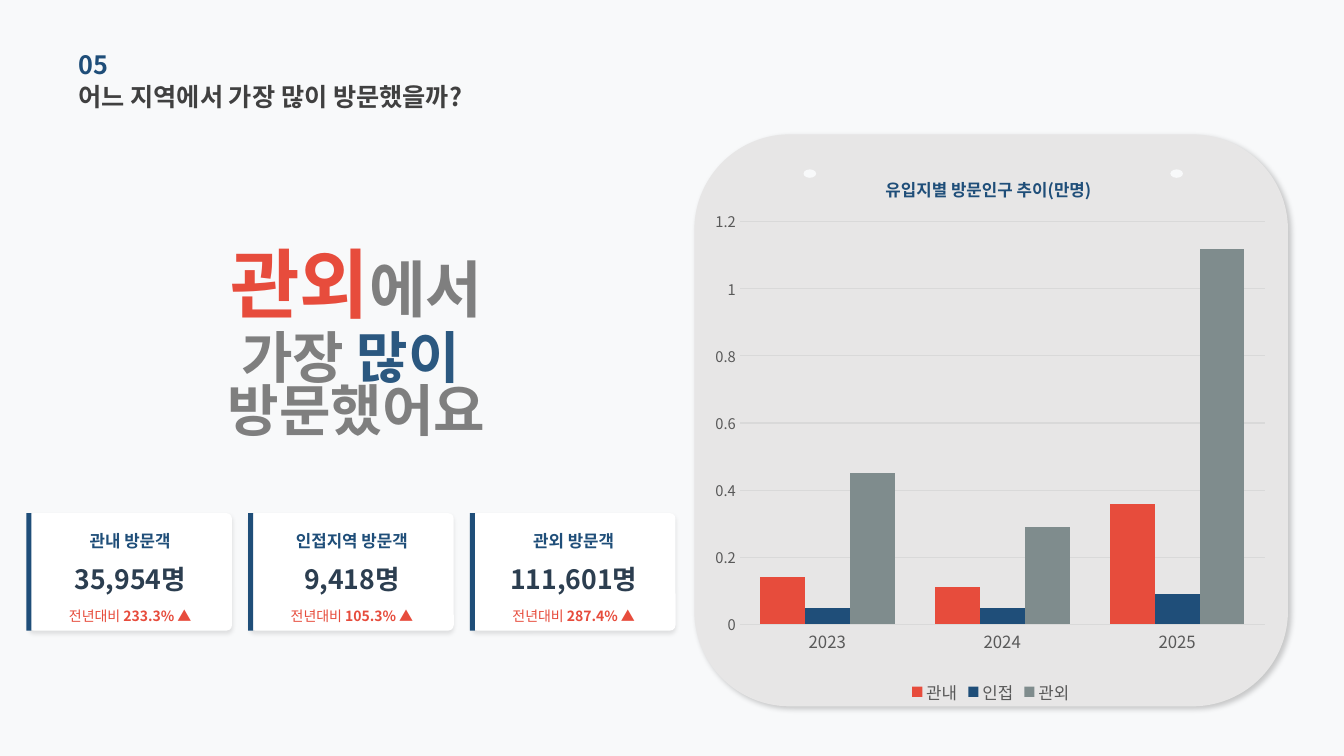
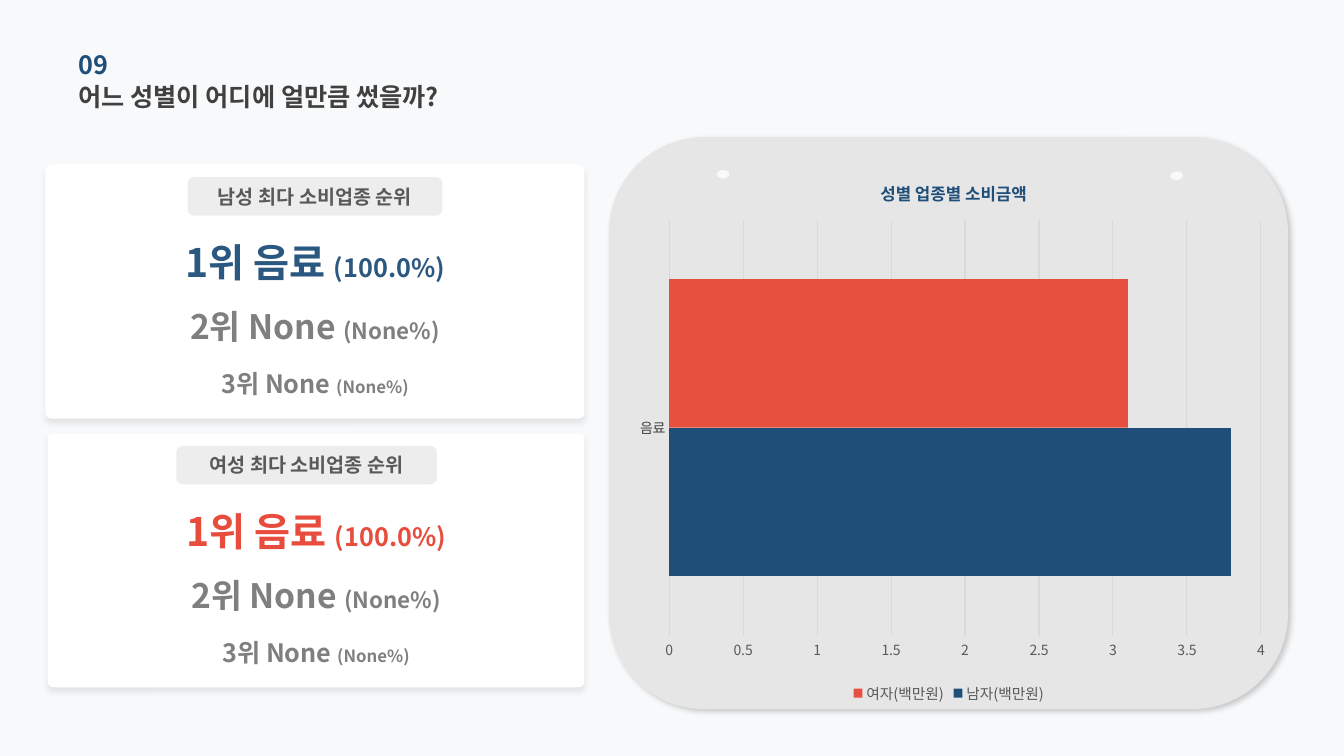
import pptx
import pptx.chart.data
import pptx.dml.color
import pptx.enum.chart
import pptx.enum.shapes
import pptx.enum.text
import pptx.oxml
import pptx.oxml.ns
import pptx.util

Pt = pptx.util.Pt
qn = pptx.oxml.ns.qn
SHAPE = pptx.enum.shapes.MSO_SHAPE
ALIGN = pptx.enum.text.PP_ALIGN
CHART = pptx.enum.chart.XL_CHART_TYPE

FONT = "Noto Sans CJK KR"
COLORS = {
    "background": "F8F9FA", "panel": "E7E6E6", "white": "FFFFFF", "pill": "D0CECE",
    "navy": "1F4E79", "blue": "2B5880", "red": "E74C3C", "slate": "7F8C8D",
    "ink": "2C3E50", "heading": "404040", "label": "595959", "gray": "7F7F7F",
    "grid": "D9D9D9",
}


def rgb(name):
    return pptx.dml.color.RGBColor.from_string(COLORS[name])


def paint(fill, color, alpha=None):
    fill.solid()
    fill.fore_color.rgb = rgb(color)
    if alpha is not None:
        element = fill._xPr.find(".//" + qn("a:srgbClr"))
        element.append(pptx.oxml.parse_xml(
            f'<a:alpha {pptx.oxml.ns.nsdecls("a")} val="{alpha * 1000}"/>'))


def style_font(font, size, color, bold=False):
    font.size, font.bold, font.name = Pt(size), bold, FONT
    font.color.rgb = rgb(color)
    font._rPr.append(pptx.oxml.parse_xml(
        f'<a:ea {pptx.oxml.ns.nsdecls("a")} typeface="{FONT}"/>'))


def place(parent, index, inner=False, **fractions):
    """Give a chart part a fixed position, as fractions of the chart."""
    old = parent.find(qn("c:layout"))
    if old is not None:
        parent.remove(old)
    target = '<c:layoutTarget val="inner"/>' if inner else ""
    modes = '<c:xMode val="edge"/><c:yMode val="edge"/>'
    values = "".join(f'<c:{key} val="{value}"/>' for key, value in fractions.items())
    parent.insert(index, pptx.oxml.parse_xml(
        f'<c:layout {pptx.oxml.ns.nsdecls("c")}><c:manualLayout>'
        f'{target}{modes}{values}</c:manualLayout></c:layout>'))


class Deck:
    def __init__(self):
        self.presentation = pptx.Presentation()
        self.presentation.slide_width = Pt(960)
        self.presentation.slide_height = Pt(540)
        paint(self.presentation.slide_master.background.fill, "background")
        self.slide = self.shapes = None

    def new_slide(self, number, title):
        self.slide = self.presentation.slides.add_slide(self.presentation.slide_layouts[5])
        self.shapes = self.slide.shapes
        heading = self.shapes.title
        heading.left, heading.top, heading.width, heading.height = map(Pt, (56, 54, 380, 29.5))
        self.fill_text(heading.text_frame, [[(title, 18, "heading", True)]], ALIGN.LEFT)
        self.text(56, 31.5, 325, 29.5, [[(number, 18, "navy", True)]], ALIGN.LEFT)

    def fill_text(self, frame, lines, align=ALIGN.CENTER, spacing=None):
        """Each line is a list of (text, size, color, bold) runs."""
        frame.word_wrap = True
        frame.auto_size = pptx.enum.text.MSO_AUTO_SIZE.NONE
        frame.vertical_anchor = pptx.enum.text.MSO_ANCHOR.MIDDLE
        frame.margin_left = frame.margin_top = frame.margin_right = frame.margin_bottom = 0
        for index, line in enumerate(lines):
            paragraph = frame.add_paragraph() if index else frame.paragraphs[0]
            paragraph.alignment = align
            if spacing:
                paragraph.line_spacing = spacing
            for text, size, color, bold in line:
                run = paragraph.add_run()
                run.text = text
                style_font(run.font, size, color, bold)

    def text(self, left, top, width, height, lines, align=ALIGN.CENTER, spacing=None):
        box = self.shapes.add_textbox(Pt(left), Pt(top), Pt(width), Pt(height))
        self.fill_text(box.text_frame, lines, align, spacing)

    def shape(self, kind, left, top, width, height, color, alpha=None, corner=None, shadow=None):
        """shadow is (opacity percent, blur, distance, angle)."""
        shape = self.shapes.add_shape(kind, Pt(left), Pt(top), Pt(width), Pt(height))
        paint(shape.fill, color, alpha)
        shape.line.fill.background()
        shape.shadow.inherit = False
        if corner is not None:
            shape.adjustments[0] = corner
        if shadow:
            opacity, blur, distance, angle = shadow
            shape._element.spPr.find(qn("a:effectLst")).append(pptx.oxml.parse_xml(
                f'<a:outerShdw {pptx.oxml.ns.nsdecls("a")} blurRad="{Pt(blur)}" '
                f'dist="{Pt(distance)}" dir="{angle * 60000}" algn="tl" rotWithShape="0">'
                f'<a:srgbClr val="000000"><a:alpha val="{opacity * 1000}"/></a:srgbClr>'
                '</a:outerShdw>'))
        return shape

    def panel(self, left, top, width, dots):
        """Gray chart board with its pin holes."""
        self.shape(SHAPE.ROUNDED_RECTANGLE, left, top, width, 408.5, "panel",
                   shadow=(20, 4, 3, 45))
        for dot_left, dot_top in dots:
            self.shape(SHAPE.OVAL, dot_left, dot_top, 9, 6, "background")

    def visitor_card(self, left, top, label, count, change):
        self.shape(SHAPE.ROUNDED_RECTANGLE, left, top, 145.5, 84, "white",
                   corner=0.048, shadow=(10, 3, 2, 90))
        self.shape(SHAPE.RECTANGLE, left - 1.3, top, 3.6, 84, "navy")
        rows = [
            (11.5, 16, [(label, 12, "navy", True)]),
            (34.5, 24.5, [(count, 19, "ink", True)]),
            (66, 14.5, [("전년대비 ", 10, "red", False), (change + " ▲", 10, "red", True)]),
        ]
        for offset, height, runs in rows:
            self.text(left, top + offset, 145.5, height, [runs])

    def ranking_card(self, left, top, width, pill_left, pill_width, label, accent, ranks):
        self.shapes = self.slide.shapes.add_group_shape().shapes
        self.shape(SHAPE.ROUNDED_RECTANGLE, left, top, width, 181.5, "white",
                   corner=0.023, shadow=(8, 4, 3, 90))
        pill = self.shape(SHAPE.ROUNDED_RECTANGLE, pill_left, top + 9, pill_width, 27.5,
                          "pill", alpha=36)
        self.fill_text(pill.text_frame, [[(label, 14, "label", True)]])
        rows = [(52.5, 34.5, 28, 18, accent), (85.5, 60.5, 24, 16, "gray"),
                (126.5, 60.5, 18, 12, "gray")]
        for (offset, height, size, small, color), (name, share) in zip(rows, ranks):
            self.text(left, top + offset, width, height,
                      [[(name + " ", size, color, True), (share, small, color, True)]])
        self.shapes = self.slide.shapes

    def chart(self, kind, box, title, categories, series, gap, maximum, unit,
              category_font, value_size, legend_size, title_at, plot_at):
        """series holds (name, values, color, alpha) rows."""
        data = pptx.chart.data.CategoryChartData()
        data.categories = categories
        for name, values, _, _ in series:
            data.add_series(name, values)
        chart = self.shapes.add_chart(kind, *map(Pt, box), data).chart
        style_font(chart.font, 10, "label")

        # Title and legend
        chart.has_title = True
        frame = chart.chart_title.text_frame
        frame.text = title
        style_font(frame.paragraphs[0].runs[0].font, 12, "navy", True)
        chart.has_legend = True
        chart.legend.position = pptx.enum.chart.XL_LEGEND_POSITION.BOTTOM
        chart.legend.include_in_layout = False
        style_font(chart.legend.font, legend_size, "label")

        # Axes
        categories_axis, values_axis = chart.category_axis, chart.value_axis
        for axis in (categories_axis, values_axis):
            axis.major_tick_mark = axis.minor_tick_mark = pptx.enum.chart.XL_TICK_MARK.NONE
        style_font(categories_axis.tick_labels.font, *category_font)
        style_font(values_axis.tick_labels.font, value_size, "label")
        values_axis.minimum_scale, values_axis.maximum_scale = 0, maximum
        values_axis.major_unit = unit
        values_axis.has_major_gridlines = True
        values_axis.format.line.fill.background()
        for line in (categories_axis.format.line, values_axis.major_gridlines.format.line):
            line.color.rgb = rgb("grid")
            line.width = Pt(0.75)

        # Bars
        plot = chart.plots[0]
        plot.gap_width, plot.overlap, plot.vary_by_categories = gap, 0, False
        for bars, (_, _, color, alpha) in zip(plot.series, series):
            bars.invert_if_negative = False
            paint(bars.format.fill, color, alpha)

        # Fixed positions inside the chart
        place(chart.chart_title._element, 1, **dict(zip("xy", title_at)))
        plot_area = chart._chartSpace.find(".//" + qn("c:plotArea"))
        place(plot_area, 0, inner=True, **dict(zip("xywh", plot_at)))


def build_regions(deck):
    deck.new_slide("05", "어느 지역에서 가장 많이 방문했을까?")
    deck.panel(496, 96, 424, [(574, 121), (836, 121)])

    # Key message
    deck.text(100, 184.5, 309, 34.5,
              [[("관외", 54, "red", True), ("에서", 44, "gray", True)]])
    deck.text(56, 247.5, 397.5, 60.5,
              [[("가장", 40, "gray", True), (" 많이 ", 40, "blue", True)],
               [("방문했어요", 40, "gray", True)]], spacing=0.8)

    # Visitor cards
    cards = [("관내 방문객", "35,954명", "233.3%"),
             ("인접지역 방문객", "9,418명", "105.3%"),
             ("관외 방문객", "111,601명", "287.4%")]
    for index, card in enumerate(cards):
        deck.visitor_card(20.2 + 158.4 * index, 366.5, *card)

    deck.chart(CHART.COLUMN_CLUSTERED, (504, 106.5, 407.5, 399.5), "유입지별 방문인구 추이(만명)",
               ["2023", "2024", "2025"],
               [("관내", [0.14, 0.11, 0.36], "red", None),
                ("인접", [0.05, 0.05, 0.09], "navy", None),
                ("관외", [0.45, 0.29, 1.12], "slate", None)],
               gap=90, maximum=1.2, unit=0.2, category_font=(12, "label"),
               value_size=10.5, legend_size=12,
               title_at=(0.31, 0.04), plot_at=(0.06, 0.13, 0.92, 0.72))


def build_spending(deck):
    deck.new_slide("09", "어느 성별이 어디에 얼만큼 썼을까?")
    deck.panel(435, 98, 485, [(512, 121.5), (836, 122.5)])

    # Ranking cards
    ranks = [("1위 음료", "(100.0%)"), ("2위 None", "(None%)"), ("3위 None", "(None%)")]
    deck.ranking_card(32.5, 117.5, 385, 134, 182, "남성 최다 소비업종 순위", "blue", ranks)
    deck.ranking_card(34, 309.5, 383.5, 126, 186, "여성 최다 소비업종 순위", "red", ranks)

    deck.chart(CHART.BAR_CLUSTERED, (445.5, 109.5, 464.5, 396), "성별 업종별 소비금액",
               ["음료"],
               [("남자(백만원)", [3.8], "navy", None), ("여자(백만원)", [3.1], "red", 98)],
               gap=80, maximum=4, unit=0.5, category_font=(10, "heading"),
               value_size=10, legend_size=10.5,
               title_at=(0.39, 0.04), plot_at=(0.07, 0.12, 0.91, 0.75))


def main():
    deck = Deck()
    build_regions(deck)
    build_spending(deck)
    deck.presentation.save("out.pptx")


if __name__ == "__main__":
    main()
